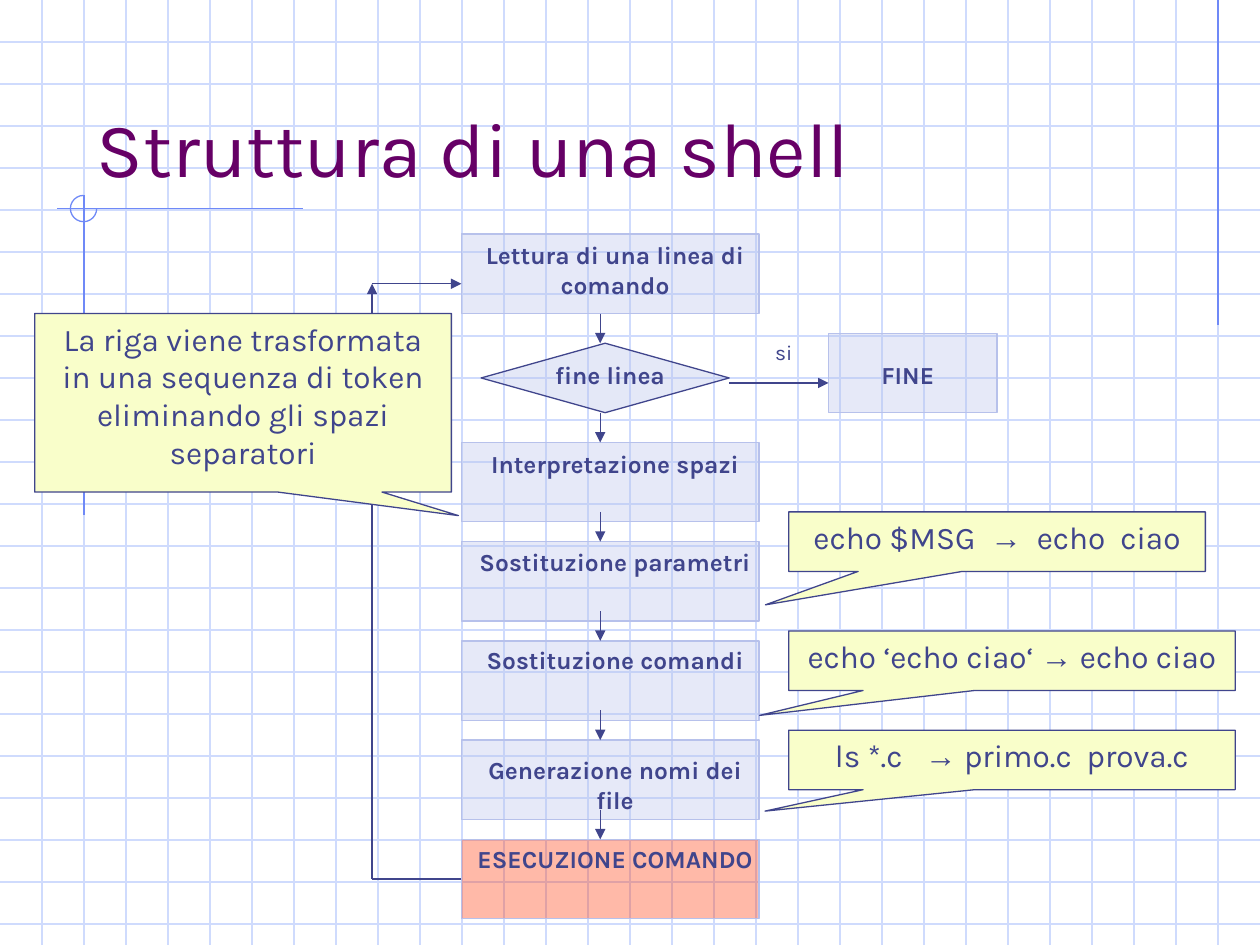
from dataclasses import dataclass

from lxml.etree import SubElement
from pptx import Presentation
from pptx.dml.color import RGBColor
from pptx.enum.shapes import MSO_CONNECTOR, MSO_SHAPE
from pptx.enum.text import MSO_ANCHOR, MSO_AUTO_SIZE, PP_ALIGN
from pptx.oxml.ns import qn
from pptx.util import Cm, Pt


@dataclass(frozen=True)
class Theme:
    grid: RGBColor = RGBColor.from_string("CFDBFD")
    ornament: RGBColor = RGBColor.from_string("6F89F7")
    title: RGBColor = RGBColor.from_string("660066")
    ink: RGBColor = RGBColor.from_string("40458C")
    step: RGBColor = RGBColor.from_string("B7C1EB")
    execution: RGBColor = RGBColor.from_string("FF3300")
    note: RGBColor = RGBColor.from_string("F9FECA")
    font: str = "Karla"
    arrow_font: str = "Arial"
    title_size: Pt = Pt(44)
    note_size: Pt = Pt(18)
    step_size: Pt = Pt(14)
    branch_size: Pt = Pt(12)
    line_width: Pt = Pt(0.75)


theme = Theme()


def draw_line(parent, start, end, color, arrow=False):
    """Draw a straight line between two (x, y) points in centimetres."""
    line = parent.add_connector(MSO_CONNECTOR.STRAIGHT, *map(Cm, start + end))
    line.line.color.rgb = color
    line.line.width = theme.line_width
    if arrow:
        SubElement(line.line._get_or_add_ln(), qn("a:tailEnd"), type="triangle")
    SubElement(line._element.spPr, qn("a:effectLst"))


def write(frame, text, size, color=theme.ink, bold=False,
          align=PP_ALIGN.CENTER, anchor=MSO_ANCHOR.TOP):
    """Fill a text frame, giving each → its own font."""
    frame.word_wrap = True
    frame.auto_size = MSO_AUTO_SIZE.NONE
    frame.vertical_anchor = anchor
    paragraph = frame.paragraphs[0]
    paragraph.alignment = align
    before, arrow, after = text.partition("→")
    for part in filter(None, (before, arrow, after)):
        run = paragraph.add_run()
        run.text = part
        if part == "→":
            run.font.name = theme.arrow_font
    font = paragraph.font
    font.name, font.size, font.bold = theme.font, size, bold
    font.color.rgb = color


prs = Presentation()
slide_width, slide_height = 25.4, 19.05
prs.slide_width, prs.slide_height = Cm(slide_width), Cm(slide_height)
slide = prs.slides.add_slide(prs.slide_layouts[5])
shapes = slide.shapes

# Squared paper with its corner ornaments
columns, rows = 30, 22
cell = slide_width / columns
paper = shapes.add_group_shape().shapes
for row in range(1, rows + 1):
    draw_line(paper, (0, row * cell), (slide_width, row * cell), theme.grid)
for column in range(1, columns):
    draw_line(paper, (column * cell, 0), (column * cell, slide_height), theme.grid)

for start, end in [
    ((29 * cell, 0), (29 * cell, 6.55)),
    ((6.1, 4.21), (1.14, 4.21)),
    ((2 * cell, 3.94), (2 * cell, 10.39)),
]:
    draw_line(paper, start, end, theme.ornament)

ring = paper.add_shape(MSO_SHAPE.ARC, Cm(1.42), Cm(3.94), Cm(0.53), Cm(0.53))
ring.adjustments[0] = 0
ring.adjustments[1] = 270 * 0.6  # angles count 60000 units per degree
ring.fill.background()
ring.line.color.rgb = theme.ornament
ring.line.width = theme.line_width
ring.shadow.inherit = False

# Title, placed in front of the paper
title = shapes.title
shapes.element.append(title.element)
title.left, title.top, title.width, title.height = Cm(1.7), Cm(0.85), Cm(21.6), Cm(3.17)
write(title.text_frame, "Struttura di una shell", theme.title_size, theme.title,
      align=PP_ALIGN.LEFT, anchor=MSO_ANCHOR.BOTTOM)

# Flowchart nodes: shape, box, fill, opacity in percent, outline
step_left, step_width, step_height = 9.3, 6, 1.6
first_top, pitch = 8.92, 2
step_tops = [4.72] + [first_top + pitch * i for i in range(5)]
step_fills = [theme.step] * 5 + [theme.execution]
nodes = [
    (MSO_SHAPE.RECTANGLE, (step_left, top, step_width, step_height), fill, 34, theme.step)
    for top, fill in zip(step_tops, step_fills)
]
nodes += [
    (MSO_SHAPE.DIAMOND, (9.7, 6.92, 5, 1.4), theme.step, 37, theme.ink),
    (MSO_SHAPE.RECTANGLE, (16.7, 6.72, 3.4, step_height), theme.step, 34, theme.step),
]
for kind, box, fill, opacity, outline in nodes:
    node = shapes.add_shape(kind, *map(Cm, box))
    node.shadow.inherit = False
    node.fill.solid()
    node.fill.fore_color.rgb = fill
    tint = node._element.spPr.find(f"{qn('a:solidFill')}/{qn('a:srgbClr')}")
    SubElement(tint, qn("a:alpha"), val=str(opacity * 1000))
    node.line.color.rgb = outline
    node.line.width = theme.line_width

# Node labels: text, left, top, width, height
one_line, two_lines = 0.86, 1.45
labels = [
    ("Lettura di una linea di comando", step_left, 4.72, 6.2, two_lines),
    ("Interpretazione spazi", step_left, 8.92, 6.2, one_line),
    ("Sostituzione parametri", step_left, 10.9, 6.2, one_line),
    ("Sostituzione comandi", step_left, 12.88, 6.2, one_line),
    ("Generazione nomi dei file", step_left, 15.1, 6.2, two_lines),
    ("ESECUZIONE COMANDO", step_left, 16.88, 6.2, two_lines),
    ("FINE", 16.7, 7.13, 3.2, one_line),
    ("fine linea", 10.7, 7.13, 3.2, one_line),
]
for text, *box in labels:
    label = shapes.add_textbox(*map(Cm, box))
    write(label.text_frame, text, theme.step_size, bold=True)

branch = shapes.add_textbox(Cm(14.7), Cm(6.72), Cm(2.2), Cm(0.76))
write(branch.text_frame, "si", theme.branch_size)

# Flow between the nodes, then the exit and the way back to the start
flow_x, flow_length = 12.1, 0.6
for i in range(6):
    tip = 6.92 + pitch * i
    draw_line(shapes, (flow_x, tip - flow_length), (flow_x, tip), theme.ink, arrow=True)

loop_x, loop_top, loop_bottom = 7.5, 5.72, 17.72
for start, end, arrow in [
    ((14.7, 7.72), (16.7, 7.72), True),
    ((step_left, loop_bottom), (loop_x, loop_bottom), False),
    ((loop_x, loop_bottom), (loop_x, loop_top), True),
    ((loop_x, loop_top), (step_left, loop_top), True),
]:
    draw_line(shapes, start, end, theme.ink, arrow)

# Explanatory callouts: text, box, pointer offset
callouts = [
    ("echo $MSG  →  echo  ciao", (15.9, 10.32, 8.4, 1.2), (-0.556, 1.062)),
    ("La riga viene trasformata in una sequenza di token eliminando gli spazi separatori",
     (0.7, 6.32, 8.4, 3.6), (0.517, 0.632)),
    ("echo ‘echo ciao‘ → echo ciao", (15.9, 12.72, 9, 1.2), (-0.565, 0.919)),
    ("ls *.c   → primo.c  prova.c", (15.9, 14.72, 9, 1.2), (-0.553, 0.86)),
]
for text, box, pointer in callouts:
    callout = shapes.add_shape(MSO_SHAPE.RECTANGULAR_CALLOUT, *map(Cm, box))
    callout.adjustments[0], callout.adjustments[1] = pointer
    callout.shadow.inherit = False
    callout.fill.solid()
    callout.fill.fore_color.rgb = theme.note
    callout.line.color.rgb = theme.ink
    callout.line.width = theme.line_width
    write(callout.text_frame, text, theme.note_size)

prs.save("out.pptx")
